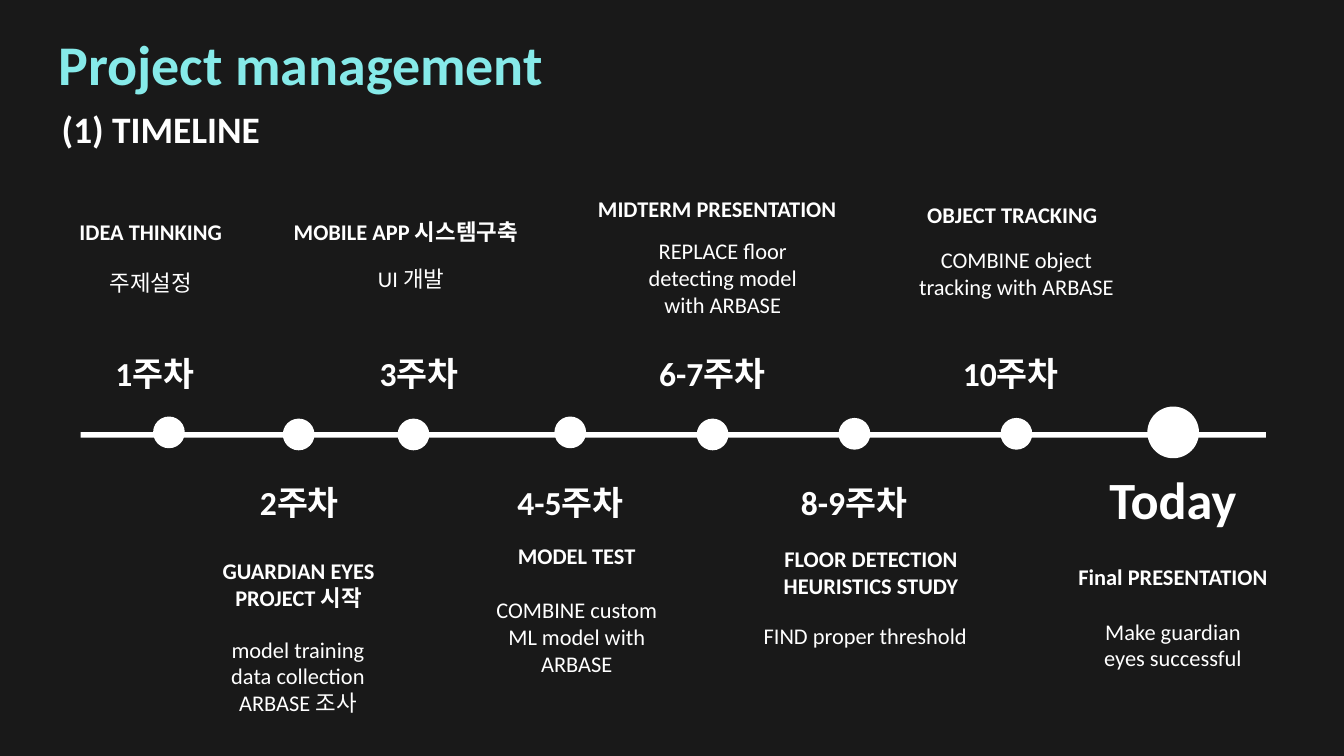
from dataclasses import dataclass
from typing import NamedTuple

from pptx import Presentation
from pptx.dml.color import RGBColor
from pptx.enum.shapes import MSO_SHAPE
from pptx.enum.text import MSO_ANCHOR, MSO_AUTO_SIZE, PP_ALIGN
from pptx.util import Pt

RECTANGLE, OVAL = MSO_SHAPE.RECTANGLE, MSO_SHAPE.OVAL
LEFT, CENTER = PP_ALIGN.LEFT, PP_ALIGN.CENTER
TOP, MIDDLE = MSO_ANCHOR.TOP, MSO_ANCHOR.MIDDLE
GROW = MSO_AUTO_SIZE.SHAPE_TO_FIT_TEXT


@dataclass(frozen=True)
class Theme:
    background: RGBColor = RGBColor(0x19, 0x19, 0x19)
    white: RGBColor = RGBColor(0xFF, 0xFF, 0xFF)
    accent: RGBColor = RGBColor(0x86, 0xEA, 0xE9)
    font: str = "Calibri"
    title: int = 60
    today: int = 56
    subtitle: int = 40
    week: int = 36
    body: int = 24


THEME = Theme()


class Label(NamedTuple):
    text: str
    left: float
    top: float
    width: float
    lines: int = 1
    align: PP_ALIGN = CENTER


class Milestone(NamedTuple):
    dot_x: float
    dot_y: float
    week: Label
    heading: Label
    detail: Label
    dot_size: float = 34
    week_size: int = THEME.week


ABOVE, BELOW = 374.4, 512.6

MILESTONES = [
    Milestone(181, 463.3,
              Label("1주차", 116.6, ABOVE, 129, align=LEFT),
              Label("IDEA THINKING", 59, 230.4, 205),
              Label("주제설정", 59, 285.3, 205)),
    Milestone(320, 465.5,
              Label("2주차", 256.3, BELOW, 129),
              Label("GUARDIAN EYES PROJECT 시작", 217.4, 593.3, 205, 2),
              Label("model training\ndata collection\nARBASE 조사", 216.7, 677.5, 205, 3)),
    Milestone(443, 465.5,
              Label("3주차", 384.5, ABOVE, 129),
              Label("MOBILE APP 시스템구축", 294, 230.4, 281.5),
              Label("UI 개발", 325, 280, 231)),
    Milestone(611, 463.3,
              Label("4-5주차", 547.2, BELOW, 150.5, align=LEFT),
              Label("MODEL TEST", 499, 577, 237.6),
              Label("COMBINE custom ML model with ARBASE", 515.5, 635, 205, 3)),
    Milestone(763.5, 465.5,
              Label("6-7주차", 699, ABOVE, 150.5, align=LEFT),
              Label("MIDTERM PRESENTATION", 633.6, 206, 304, align=LEFT),
              Label("REPLACE floor detecting model with ARBASE", 671.8, 250.6, 205, 3)),
    Milestone(915.5, 464.8,
              Label("8-9주차", 851, BELOW, 150.5, align=LEFT),
              Label("FLOOR DETECTION HEURISTICS STUDY", 774.7, 581, 316.8, 2),
              Label("FIND proper threshold", 800, 663, 254)),
    Milestone(1089, 464.8,
              Label("10주차", 1024.6, ABOVE, 129, align=LEFT),
              Label("OBJECT TRACKING", 986.4, 212.4, 205, align=LEFT),
              Label("COMBINE object tracking with ARBASE", 962, 260.6, 254, 2)),
    Milestone(1257, 463.3,
              Label("Today", 1164.2, 496.8, 185),
              Label("Final PRESENTATION", 1129.7, 599.8, 254),
              Label("Make guardian eyes successful", 1154.2, 658.3, 205, 2),
              dot_size=55.4, week_size=THEME.today),
]


def add_text(slide, label: Label, *, size: int, bold: bool = True,
             color: RGBColor = THEME.white, anchor: MSO_ANCHOR = TOP) -> None:
    height = label.lines * size * 1.2 + 7.2
    box = slide.shapes.add_textbox(Pt(label.left), Pt(label.top),
                                   Pt(label.width), Pt(height))
    tf = box.text_frame
    tf.word_wrap = True
    tf.auto_size = GROW
    tf.vertical_anchor = anchor
    tf.text = label.text
    for p in tf.paragraphs:
        p.alignment = label.align
        for r in p.runs:
            r.font.name = THEME.font
            r.font.size = Pt(size)
            r.font.bold = bold
            r.font.color.rgb = color


def add_solid(slide, kind: MSO_SHAPE, left: float, top: float,
              width: float, height: float) -> None:
    sp = slide.shapes.add_shape(kind, Pt(left), Pt(top), Pt(width), Pt(height))
    sp.shadow.inherit = False
    sp.fill.solid()
    sp.fill.fore_color.rgb = THEME.white
    sp.line.fill.background()


def add_milestone(slide, m: Milestone) -> None:
    radius = m.dot_size / 2
    add_solid(slide, OVAL, m.dot_x - radius, m.dot_y - radius, m.dot_size, m.dot_size)
    add_text(slide, m.week, size=m.week_size, anchor=MIDDLE)
    add_text(slide, m.heading, size=THEME.body)
    add_text(slide, m.detail, size=THEME.body, bold=False)


def main() -> None:
    prs = Presentation()
    prs.slide_width, prs.slide_height = Pt(1440), Pt(810)
    s = prs.slides.add_slide(prs.slide_layouts[6])
    s.background.fill.solid()
    s.background.fill.fore_color.rgb = THEME.background

    add_text(s, Label("Project management", 55.4, 28, 874, align=LEFT),
             size=THEME.title, color=THEME.accent)
    add_text(s, Label("(1) TIMELINE", 59, 110, 538.6, align=LEFT), size=THEME.subtitle)
    add_solid(s, RECTANGLE, 86.4, 463, 1270, 5.8)
    for milestone in MILESTONES:
        add_milestone(s, milestone)
    prs.save("out.pptx")


if __name__ == "__main__":
    main()
